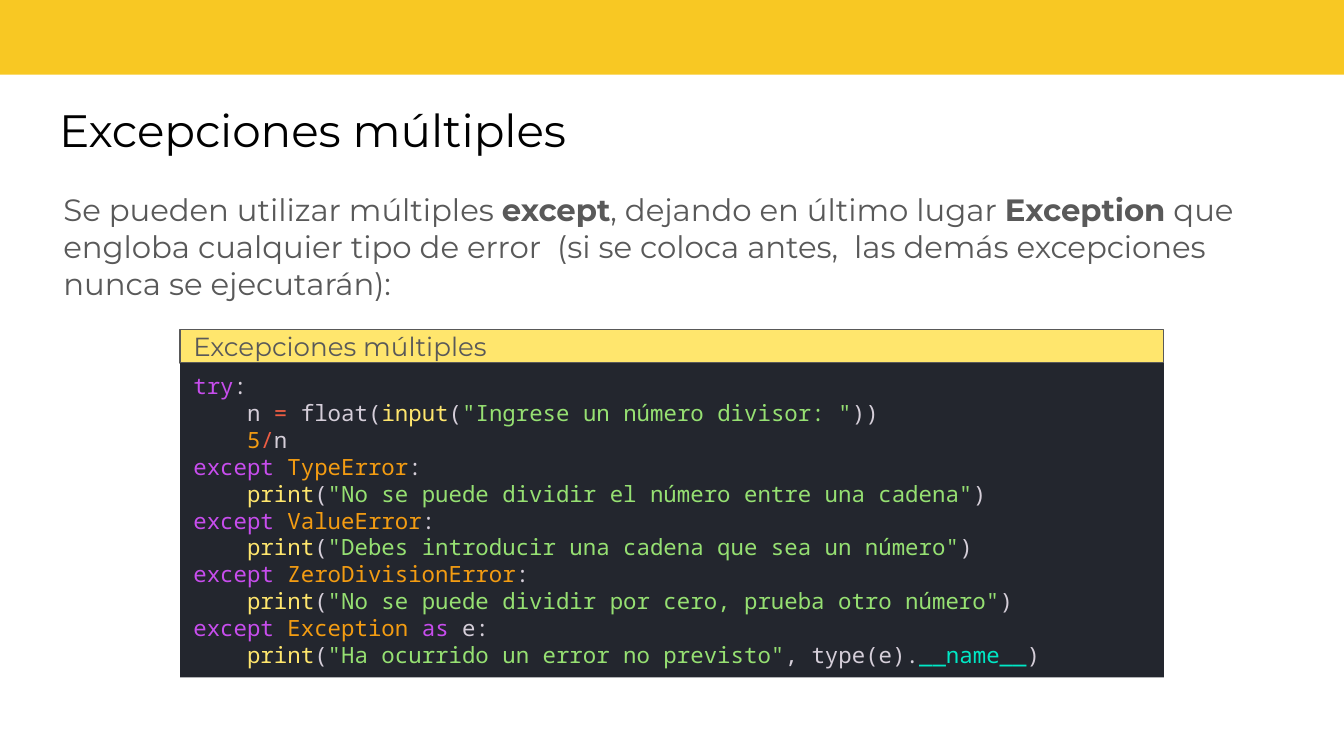
from pptx import Presentation
from pptx.dml.color import RGBColor as RGB
from pptx.enum.shapes import MSO_SHAPE as SHAPE
from pptx.enum.text import MSO_ANCHOR as ANCHOR, PP_ALIGN as ALIGN
from pptx.util import Pt

SANS, MONO = "Montserrat", "Noto Sans Mono"
GRAY = "595959"
LEFT, WIDTH = 96.5, 527
TITLE = "Excepciones múltiples"
BODY = [
    ("Se pueden utilizar múltiples ", False),
    ("except", True),
    (", dejando en último lugar ", False),
    ("Exception", True),
    (" que engloba cualquier tipo de error  (si se coloca antes,  "
     "las demás excepciones nunca se ejecutarán):", False),
]
HUES = {"key": "C74DED", "plain": "D5CED9", "op": "EE5D43", "call": "FFE66D",
        "str": "96E072", "const": "F39C12", "attr": "00E8C6"}


def catch(name):
    """Return the parts of an except line."""
    return [("key", "except "), ("const", name), ("plain", ":")]


def show(text, *rest):
    """Return the parts of an indented print line."""
    return [("call", "    print"), ("plain", "("), ("str", f'"{text}"'),
            *rest, ("plain", ")")]


CODE = [
    [("key", "try"), ("plain", ":")],
    [("plain", "    n "), ("op", "="), ("plain", " float("), ("call", "input"),
     ("plain", "("), ("str", '"Ingrese un número divisor: "'), ("plain", "))")],
    [("const", "    5"), ("op", "/"), ("plain", "n")],
    catch("TypeError"),
    show("No se puede dividir el número entre una cadena"),
    catch("ValueError"),
    show("Debes introducir una cadena que sea un número"),
    catch("ZeroDivisionError"),
    show("No se puede dividir por cero, prueba otro número"),
    [("key", "except "), ("const", "Exception "), ("key", "as"), ("plain", " e:")],
    show("Ha ocurrido un error no previsto", ("plain", ", type(e)."),
         ("attr", "__name__")),
]


def color(value):
    """Turn a hex string into a colour."""
    return RGB.from_string(value)


def style(run, size, hue, face=SANS, bold=False):
    """Format one run."""
    font = run.font
    font.size, font.name, font.bold = Pt(size), face, bold
    font.color.rgb = color(hue)


def add_run(para, text, *look):
    """Append a formatted run to a paragraph."""
    run = para.add_run()
    run.text = text
    style(run, *look)


def set_frame(frame, side, edge, anchor):
    """Set wrapping, insets and anchor of a text frame."""
    frame.word_wrap = True
    frame.margin_left = frame.margin_right = Pt(side)
    frame.margin_top = frame.margin_bottom = Pt(edge)
    frame.vertical_anchor = anchor


def add_box(slide, place, fill, line=None):
    """Add a flat rectangle."""
    box = slide.shapes.add_shape(SHAPE.RECTANGLE, *map(Pt, place))
    box.shadow.inherit = False
    box.fill.solid()
    box.fill.fore_color.rgb = color(fill)
    if line:
        box.line.color.rgb = color(line)
        box.line.width = Pt(0.75)
    else:
        box.line.fill.background()
    return box


def main():
    """Build and save the slide."""
    deck = Presentation()
    deck.slide_width, deck.slide_height = Pt(720), Pt(405)
    slide = deck.slides.add_slide(deck.slide_layouts[5])
    add_box(slide, (-1, -4, 722, 44), "F8C823")

    title = slide.shapes.title
    title.left, title.top, title.width, title.height = map(Pt, (24.5, 47, 670, 45))
    title.text_frame.text = TITLE
    set_frame(title.text_frame, 7.2, 7.2, ANCHOR.MIDDLE)
    para = title.text_frame.paragraphs[0]
    para.alignment = ALIGN.LEFT
    style(para.runs[0], 24.3, "000000")

    body = slide.shapes.add_textbox(*map(Pt, (34, 95, 652, 81))).text_frame
    set_frame(body, 0, 7.2, ANCHOR.TOP)
    for text, bold in BODY:
        add_run(body.paragraphs[0], text, 16.5, GRAY, SANS, bold)

    head = add_box(slide, (LEFT, 176.5, WIDTH, 18), "FFE66D", GRAY).text_frame
    set_frame(head, 7.2, 3.6, ANCHOR.MIDDLE)
    head.paragraphs[0].alignment = ALIGN.LEFT
    add_run(head.paragraphs[0], TITLE, 14, GRAY)

    code = add_box(slide, (LEFT, 194.5, WIDTH, 168.5), "23262E").text_frame
    set_frame(code, 7.2, 5, ANCHOR.TOP)
    for i, parts in enumerate(CODE):
        para = code.add_paragraph() if i else code.paragraphs[0]
        para.alignment = ALIGN.LEFT
        para.line_spacing = Pt(14.4)
        for kind, text in parts:
            add_run(para, text, 12, HUES[kind], MONO)

    deck.save("out.pptx")


if __name__ == "__main__":
    main()
